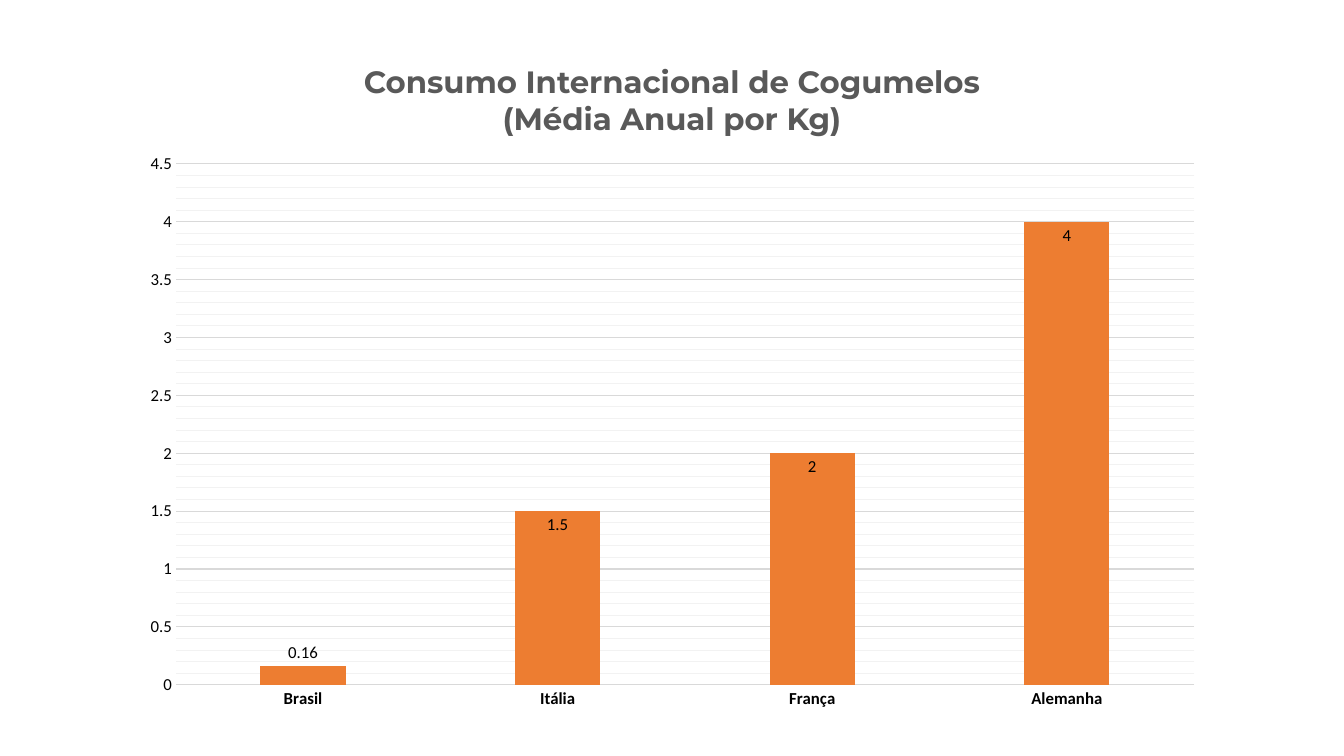
import copy

import pptx
import pptx.util
import pptx.chart.data
import pptx.dml.color
import pptx.enum.chart
import pptx.enum.text
import pptx.oxml

Inches, Pt = pptx.util.Inches, pptx.util.Pt
enum = pptx.enum.chart


def paint(value):
    return pptx.dml.color.RGBColor.from_string(value)


def style(font, size, color="000000", name="Calibri", bold=False):
    font.size, font.name, font.bold = Pt(size), name, bold
    font.color.rgb = paint(color)


deck = pptx.Presentation()
deck.slide_width, deck.slide_height = Inches(13.33), Inches(7.5)
slide = deck.slides.add_slide(deck.slide_layouts[6])

# Chart
data = pptx.chart.data.CategoryChartData()
data.categories = ["Brasil", "Itália", "França", "Alemanha"]
data.add_series("Series 1", [0.16, 1.5, 2, 4])
chart = slide.shapes.add_chart(
    enum.XL_CHART_TYPE.COLUMN_CLUSTERED,
    Inches(1.28), Inches(1.42), Inches(10.78), Inches(5.73), data).chart
chart.has_legend = chart.has_title = False
style(chart.font, 10)

# Axes
countries, kilos = chart.category_axis, chart.value_axis
for axis in (countries, kilos):
    axis.major_tick_mark = axis.minor_tick_mark = enum.XL_TICK_MARK.NONE
    style(axis.tick_labels.font, 12, bold=axis is countries)
kilos.minimum_scale, kilos.maximum_scale = 0, 4.5
kilos.major_unit, kilos.minor_unit = 0.5, 0.1
kilos.has_major_gridlines = kilos.has_minor_gridlines = True
kilos.format.line.fill.background()
for lines in (countries, kilos.major_gridlines):
    lines.format.line.color.rgb = paint("D9D9D9")
    lines.format.line.width = Pt(0.75)

# Minor gridlines take the major ones' line in a lighter grey
major = chart.element.find(".//{*}majorGridlines/{*}spPr")
minor = copy.deepcopy(major)
minor.find(".//{*}srgbClr").set("val", "F2F2F2")
chart.element.find(".//{*}minorGridlines").append(minor)

# Bars and their labels
plot = chart.plots[0]
plot.gap_width = 199
plot.vary_by_categories = False
bars = plot.series[0]
bars.format.fill.solid()
bars.format.fill.fore_color.rgb = paint("ED7D31")
labels = bars.data_labels
labels.show_value = True
labels.position = enum.XL_LABEL_POSITION.INSIDE_END
style(labels.font, 12)
brazil = bars.points[0].data_label
style(brazil.font, 12)
brazil.position = enum.XL_LABEL_POSITION.OUTSIDE_END

# Plot area, as shares of the chart frame
area = chart.element.find(".//{*}plotArea")
for old in area.findall("{*}layout"):
    area.remove(old)
places = "".join(f'<c:{tag} val="{share}"/>' for tag, share in
                 (("x", 0.043), ("y", 0.036), ("w", 0.937), ("h", 0.902)))
area.insert(0, pptx.oxml.parse_xml(
    '<c:layout xmlns:c="http://schemas.openxmlformats.org/drawingml/2006/chart">'
    '<c:manualLayout><c:layoutTarget val="inner"/>'
    '<c:xMode val="edge"/><c:yMode val="edge"/>'
    f'{places}</c:manualLayout></c:layout>'))

# Title
frame = slide.shapes.add_textbox(
    Inches(3.33), Inches(0.57), Inches(6.67), Inches(0.84)).text_frame
frame.word_wrap = True
frame.text = "Consumo Internacional de Cogumelos\n(Média Anual por Kg)"
for para in frame.paragraphs:
    para.alignment = pptx.enum.text.PP_ALIGN.CENTER
    style(para.font, 22, "595959", "Montserrat", True)

deck.save("out.pptx")
